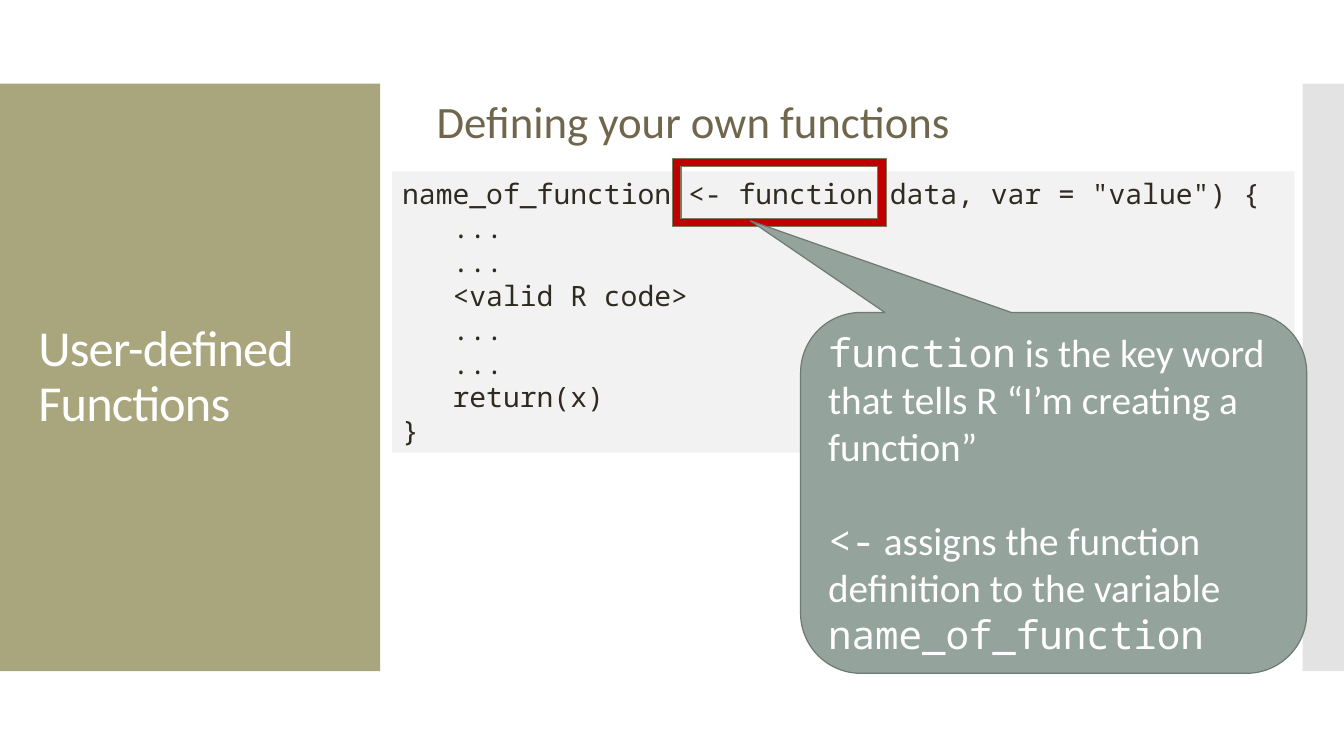
from lxml import etree
from pptx import Presentation
from pptx.dml.color import RGBColor
from pptx.enum.shapes import MSO_SHAPE
from pptx.enum.text import MSO_ANCHOR, PP_ALIGN
from pptx.oxml.ns import qn
from pptx.util import Inches, Pt

RECT, FRAME = MSO_SHAPE.RECTANGLE, MSO_SHAPE.FRAME
CALLOUT = MSO_SHAPE.ROUNDED_RECTANGULAR_CALLOUT
LEFT, TOP, MIDDLE = PP_ALIGN.LEFT, MSO_ANCHOR.TOP, MSO_ANCHOR.MIDDLE
SANS, MONO = "Calibri", "Noto Sans Mono"

# Content: a paragraph is a list of (text, font) runs
TITLE = [[("User-defined Functions", SANS)]]
HEADING = [[("Defining your own functions", SANS)]]
CODE_HEAD = 'name_of_function <- function(data, var = "value") {'
CODE_BODY = ["...", "...", "<valid R code>", "...", "...", "return(x)"]
CODE_LINES = [CODE_HEAD, *CODE_BODY, "}"]
EXPLANATION = [
    [("function", MONO),
     (" is the key word that tells R “I’m creating a function”", SANS)],
    [("<-", MONO),
     (" assigns the function definition to the variable ", SANS),
     ("name_of_function", MONO)],
]

# Places: left, top, width, height in inches
TITLE_PANEL_AT = (0, 0.83, 3.77, 5.83)
EDGE_PANEL_AT = (12.92, 0.83, 0.42, 5.83)
TITLE_AT = (0.28, 1.23, 3.22, 5.03)
HEADING_AT = (4.23, 0.94, 8, 5.6)
CODE_AT = (3.89, 1.7, 8.95, 2.79)
HIGHLIGHT_AT = (6.67, 1.57, 2.12, 0.68)
EXPLANATION_AT = (7.94, 3.1, 5.02, 3.58)
CALLOUT_POINTER = (-0.599, -0.754, 0.167)

# Paragraph formats
TITLE_FORMAT = {"alignment": LEFT, "line_spacing": 0.9}
HEADING_FORMAT = {"alignment": LEFT, "line_spacing": 0.9, "space_before": Pt(12)}
CODE_FORMAT = {"alignment": LEFT, "line_spacing": Pt(24.2)}
EXPLANATION_FORMAT = {"alignment": LEFT, "line_spacing": Pt(33.6)}


def rgb(value):
    return RGBColor.from_string(value)


def place(shape, at):
    shape.left, shape.top, shape.width, shape.height = map(Inches, at)


def add_block(slide, kind, at, fill, line=None):
    block = slide.shapes.add_shape(kind, *map(Inches, at))
    block.shadow.inherit = False
    block.fill.solid()
    block.fill.fore_color.rgb = rgb(fill)
    if line:
        block.line.color.rgb = rgb(line)
        block.line.width = Pt(0.85)
    else:
        block.line.fill.background()
    return block


def write(shape, paragraphs, size, color, anchor, paragraph_format):
    frame = shape.text_frame
    frame.word_wrap = True
    frame.vertical_anchor = anchor
    for index, runs in enumerate(paragraphs):
        paragraph = frame.add_paragraph() if index else frame.paragraphs[0]
        for name, value in paragraph_format.items():
            setattr(paragraph, name, value)
        for text, font_name in runs:
            run = paragraph.add_run()
            run.text = text
            font_format = {"name": font_name, "size": Pt(size)}
            for name, value in font_format.items():
                setattr(run.font, name, value)
            run.font.color.rgb = rgb(color)
    return frame.paragraphs


def main():
    prs = Presentation()
    prs.slide_width, prs.slide_height = Inches(13.33), Inches(7.5)
    slide = prs.slides.add_slide(prs.slide_layouts[1])
    title, heading = slide.placeholders

    # Side panels, behind the title
    title_panel = add_block(slide, RECT, TITLE_PANEL_AT, "A9A57C")
    edge_panel = add_block(slide, RECT, EDGE_PANEL_AT, "C8C8C8")
    edge_color = edge_panel.fill._xPr.find(qn("a:solidFill"))[0]
    etree.SubElement(edge_color, qn("a:alpha"), val="50000")
    for panel in (title_panel, edge_panel):
        title.element.addprevious(panel.element)

    # Title and heading
    place(title, TITLE_AT)
    title_line, = write(title, TITLE, 36, "FFFFFF", MIDDLE, TITLE_FORMAT)
    title_line.runs[0].font._element.set("spc", "-60")
    place(heading, HEADING_AT)
    heading_line, = write(heading, HEADING, 32, "6F664C", TOP, HEADING_FORMAT)
    heading_props = heading_line._p.get_or_add_pPr()
    heading_props.set("marL", "0")
    heading_props.set("indent", "0")
    etree.SubElement(heading_props, qn("a:buNone"))

    # Code listing, with its body indented
    code = add_block(slide, RECT, CODE_AT, "F2F2F2")
    code_runs = [[(line, MONO)] for line in CODE_LINES]
    code_lines = write(code, code_runs, 20, "2F2B20", TOP, CODE_FORMAT)
    for line in code_lines[1:-1]:
        line._p.get_or_add_pPr().set("marL", str(Inches(0.5)))

    # Highlight around the keyword
    add_block(slide, FRAME, HIGHLIGHT_AT, "C00000", "7D7A5C")

    # Explanation callout
    callout = add_block(slide, CALLOUT, EXPLANATION_AT, "95A39D", "6E7974")
    for index, value in enumerate(CALLOUT_POINTER):
        callout.adjustments[index] = value
    explanation = write(callout, EXPLANATION, 28, "FFFFFF", MIDDLE, EXPLANATION_FORMAT)
    explanation[1].space_before = Pt(33.6)

    prs.save("out.pptx")


if __name__ == "__main__":
    main()
